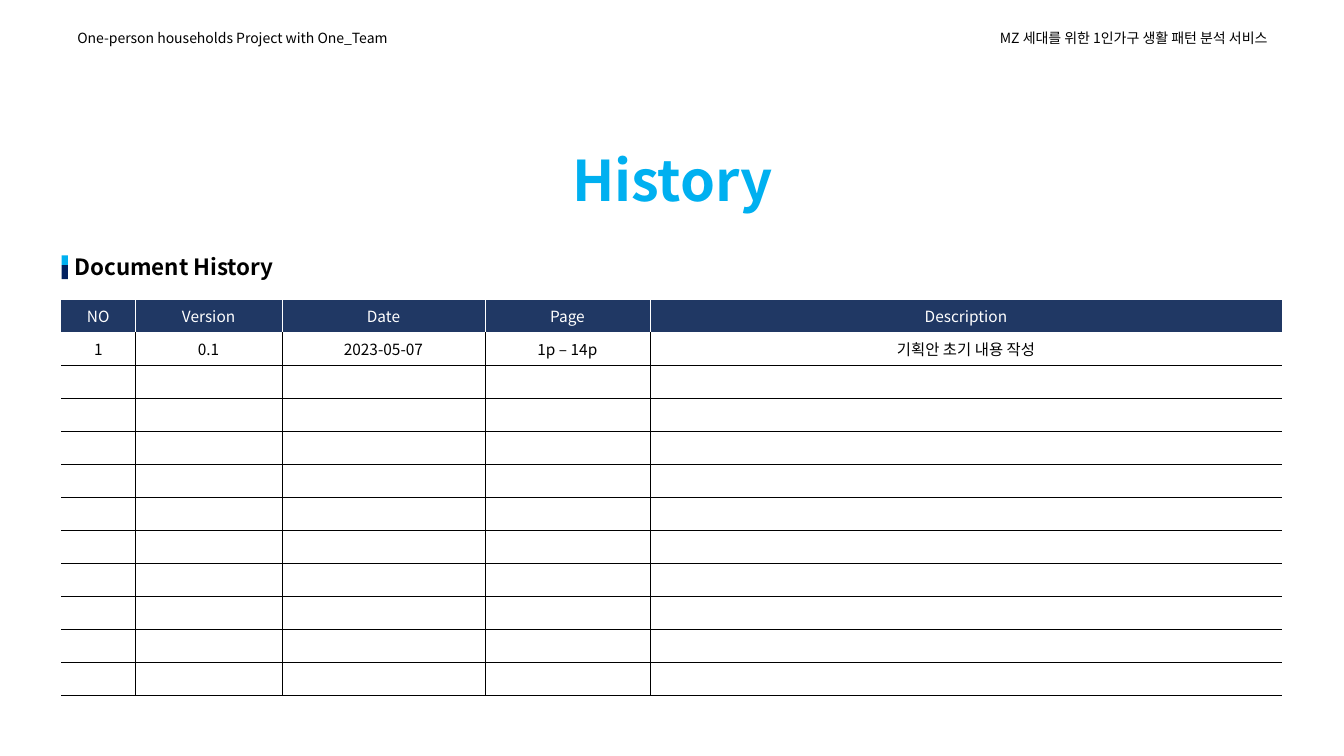
"""Build the document history slide with its version table."""
import pptx
import pptx.util
import pptx.dml.color
import pptx.enum.shapes
import pptx.enum.text
import pptx.oxml.ns
import lxml.etree

Pt = pptx.util.Pt
qn = pptx.oxml.ns.qn
ALIGN = pptx.enum.text.PP_ALIGN
MIDDLE = pptx.enum.text.MSO_ANCHOR.MIDDLE
FONT = "Noto Sans CJK KR"
BLACK, WHITE, NAVY, SKY = "000000", "FFFFFF", "203864", "00B0F0"


def color(hex_string):
    return pptx.dml.color.RGBColor.from_string(hex_string)


def write(frame, text, size, text_color, alignment, bold=False):
    frame.text = text
    paragraph = frame.paragraphs[0]
    paragraph.alignment = alignment
    for run in paragraph.runs:
        run.font.size = Pt(size)
        run.font.name = FONT
        run.font.bold = bold
        run.font.color.rgb = color(text_color)
        lxml.etree.SubElement(run.font._element, qn("a:ea"), typeface=FONT)


presentation = pptx.Presentation()
presentation.slide_width = Pt(960)
presentation.slide_height = Pt(540)
slide = presentation.slides.add_slide(presentation.slide_layouts[6])

labels = [
    ("One-person households Project with One_Team", 48.2, 17.3, 257.8, 19.4, 10, BLACK, ALIGN.LEFT, False),
    ("MZ 세대를 위한 1인가구 생활 패턴 분석 서비스", 654.5, 17.3, 257.8, 19.4, 10, BLACK, ALIGN.RIGHT, False),
    ("History", 367.2, 100.1, 226, 55.7, 40, SKY, ALIGN.CENTER, True),
    ("Document History", 46.1, 177.1, 285.8, 26.6, 16, BLACK, ALIGN.LEFT, True),
]
for text, left, top, width, height, size, text_color, alignment, bold in labels:
    box = slide.shapes.add_textbox(Pt(left), Pt(top), Pt(width), Pt(height))
    box.text_frame.word_wrap = True
    box.text_frame.vertical_anchor = MIDDLE
    write(box.text_frame, text, size, text_color, alignment, bold)

for top, height, fill_color in [(182.4, 7, SKY), (189.4, 10.1, "002060")]:
    marker = slide.shapes.add_shape(
        pptx.enum.shapes.MSO_SHAPE.RECTANGLE, Pt(44), Pt(top), Pt(4.5), Pt(height))
    marker.shadow.inherit = False
    marker.fill.solid()
    marker.fill.fore_color.rgb = color(fill_color)
    marker.line.fill.background()

history = [
    ["NO", "Version", "Date", "Page", "Description"],
    ["1", "0.1", "2023-05-07", "1p – 14p", "기획안 초기 내용 작성"],
]
column_widths = [52.6, 105.1, 144.7, 118.1, 451.4]
row_count, row_height = 12, 23.6
last_row, last_column = row_count - 1, len(column_widths) - 1
table = slide.shapes.add_table(
    row_count, len(column_widths), Pt(43.9), Pt(213.8),
    Pt(sum(column_widths)), Pt(row_count * row_height)).table
for column, width in zip(table.columns, column_widths):
    column.width = Pt(width)

for row_index, row in enumerate(table.rows):
    row.height = Pt(row_height)
    is_header = row_index == 0
    line_color = WHITE if is_header else BLACK
    for column_index, cell in enumerate(row.cells):
        text = history[row_index][column_index] if row_index < len(history) else ""
        cell.vertical_anchor = MIDDLE
        write(cell.text_frame, text, 11, WHITE if is_header else BLACK, ALIGN.CENTER)
        if not text:
            paragraph = cell.text_frame.paragraphs[0]
            lxml.etree.SubElement(paragraph._p, qn("a:endParaRPr"), sz="1100")
        borders = [
            ("a:lnL", line_color if column_index > 0 else None, 0.25),
            ("a:lnR", line_color if column_index < last_column else None, 0.25),
            ("a:lnT", WHITE if row_index <= 1 else BLACK, 0.25),
            ("a:lnB", line_color, 1.5 if row_index == last_row else 0.25),
        ]
        properties = cell._tc.get_or_add_tcPr()
        for tag, border_color, width in borders:
            line = lxml.etree.SubElement(properties, qn(tag), w=str(Pt(width)))
            if border_color:
                fill = lxml.etree.SubElement(line, qn("a:solidFill"))
                lxml.etree.SubElement(fill, qn("a:srgbClr"), val=border_color)
            else:
                lxml.etree.SubElement(line, qn("a:noFill"))
        cell.fill.solid()
        cell.fill.fore_color.rgb = color(NAVY if is_header else WHITE)

presentation.save("out.pptx")
